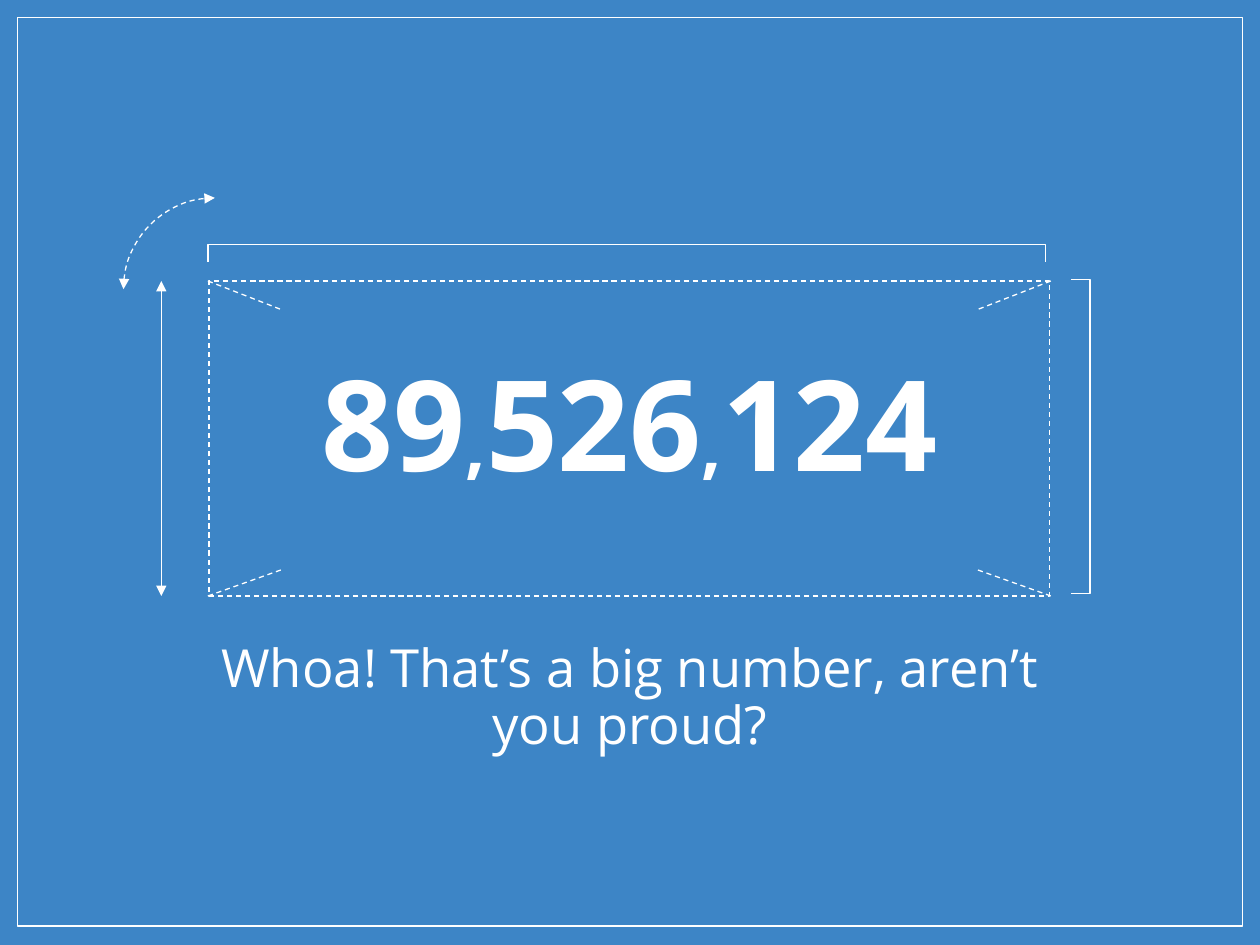
import pptx
import pptx.util
import pptx.dml.color
import pptx.enum.dml
import pptx.enum.shapes
import pptx.enum.text
import pptx.oxml
import pptx.oxml.ns

COLORS = {"back": "3D85C6", "ink": "FFFFFF"}
FONT = "Open Sans"
WIDE, HIGH = 10, 7.5
COLS, ROWS = 100, 75
SHAPE = pptx.enum.shapes.MSO_SHAPE


def col(n):
    return pptx.util.Inches(WIDE * n / COLS)


def row(n):
    return pptx.util.Inches(HIGH * n / ROWS)


def tint(name):
    return pptx.dml.color.RGBColor.from_string(COLORS[name])


def add_tag(node, name, **values):
    tag = pptx.oxml.parse_xml(f"<a:{name} {pptx.oxml.ns.nsdecls('a')}/>")
    for key, value in values.items():
        tag.set(key, value)
    node.append(tag)


def draw(item, dash=False, arrows=False):
    line = item.line
    line.color.rgb = tint("ink")
    line.width = pptx.util.Pt(0.75)
    if dash:
        line.dash_style = pptx.enum.dml.MSO_LINE.DASH
    if arrows:
        node = line._get_or_add_ln()
        for end in ("headEnd", "tailEnd"):
            add_tag(node, end, type="triangle")


def outline(slide, kind, x, y, w, h, turn=0, **style):
    item = slide.shapes.add_shape(kind, col(x), row(y), col(w), row(h))
    item.rotation = turn
    item.shadow.inherit = False
    item.fill.background()
    draw(item, **style)


def link(slide, start, end, **style):
    item = slide.shapes.add_connector(
        pptx.enum.shapes.MSO_CONNECTOR.STRAIGHT,
        col(start[0]), row(start[1]), col(end[0]), row(end[1]))
    draw(item, **style)
    add_tag(item._element.spPr, "effectLst")


def bracket(slide, points):
    spots = [(col(x), row(y)) for x, y in points]
    path = slide.shapes.build_freeform(*spots[0])
    path.add_line_segments(spots[1:], close=False)
    item = path.convert_to_shape()
    item.shadow.inherit = False
    item.fill.background()
    draw(item)


def label(slide, x, y, w, h, parts, top, bold=False, space=1.0):
    frame = slide.shapes.add_textbox(col(x), row(y), col(w), row(h)).text_frame
    frame.word_wrap = True
    frame.margin_left = frame.margin_right = frame.margin_bottom = col(1)
    frame.margin_top = row(top)
    para = frame.paragraphs[0]
    para.alignment = pptx.enum.text.PP_ALIGN.CENTER
    para.line_spacing = space
    for words, size in parts:
        run = para.add_run()
        run.text = words
        run.font.name = FONT
        run.font.size = pptx.util.Pt(size)
        run.font.bold = bold
        run.font.color.rgb = tint("ink")


def main():
    deck = pptx.Presentation()
    deck.slide_width, deck.slide_height = col(COLS), row(ROWS)
    slide = deck.slides.add_slide(deck.slide_layouts[6])
    fill = slide.background.fill
    fill.solid()
    fill.fore_color.rgb = tint("back")

    outline(slide, SHAPE.RECTANGLE, 1.4, 1.4, 97.2, 72.1)
    label(slide, 15.4, 49.7, 69.2, 11.4,
          [("Whoa! That’s a big number, aren’t you proud?", 30)],
          top=1.3, space=0.9)

    left, right, top, base = 16.5, 83.4, 22.3, 47.3
    outline(slide, SHAPE.RECTANGLE, 16.6, top, 66.7, base - top, dash=True)
    bracket(slide, [(85, 22.2), (86.5, 22.2), (86.5, 47.1), (85, 47.1)])
    bracket(slide, [(16.5, 20.8), (16.5, 19.4), (83, 19.4), (83, 20.8)])
    outline(slide, SHAPE.ARC, 9.8, 15.7, 14.5, 14.5, turn=270,
            dash=True, arrows=True)
    link(slide, (12.8, top), (12.8, base), arrows=True)
    for x, side in ((left, 1), (right, -1)):
        for y, drop in ((top, 2.3), (base, -2.1)):
            link(slide, (x, y), (x + 5.9 * side, y + drop), dash=True)

    label(slide, 7.5, 27.2, 85, 16.9,
          [("89", 72), (",", 40), ("526", 72), (",", 40), ("124", 72)],
          top=0.2, bold=True)
    deck.save("out.pptx")


main()
